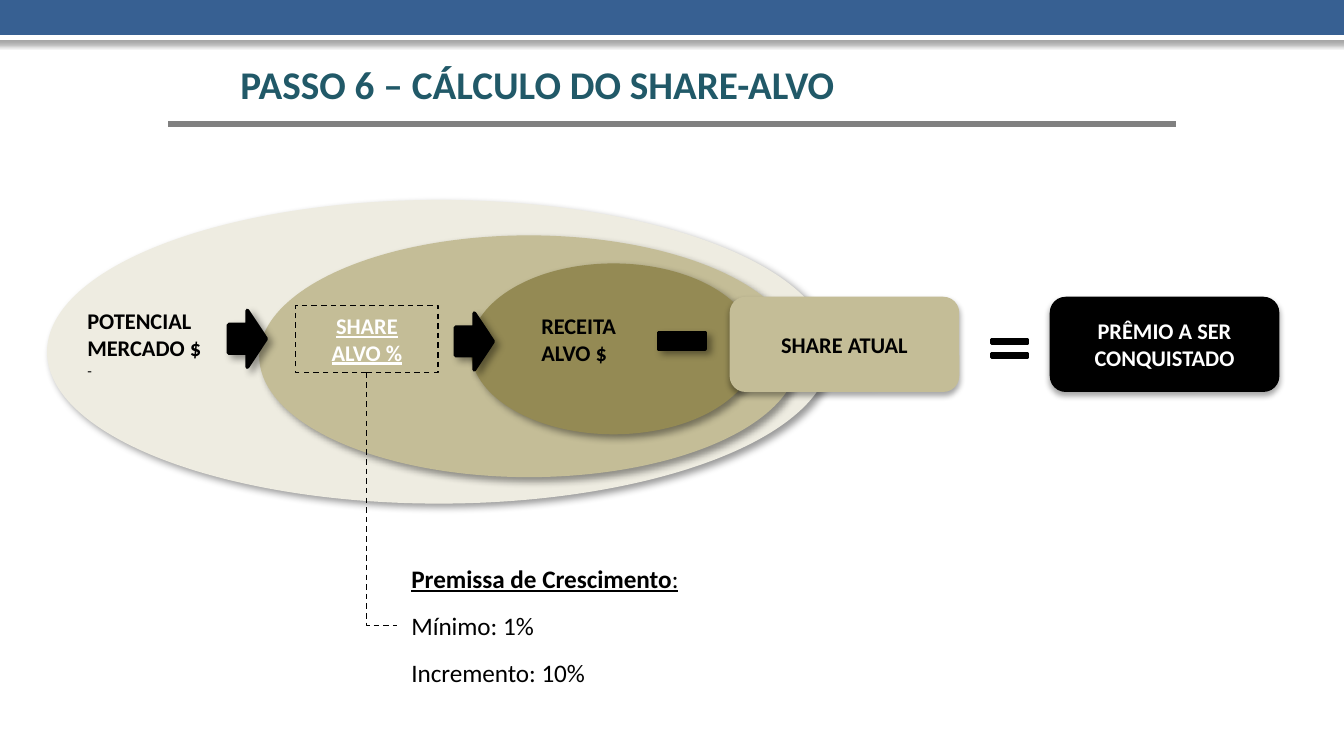
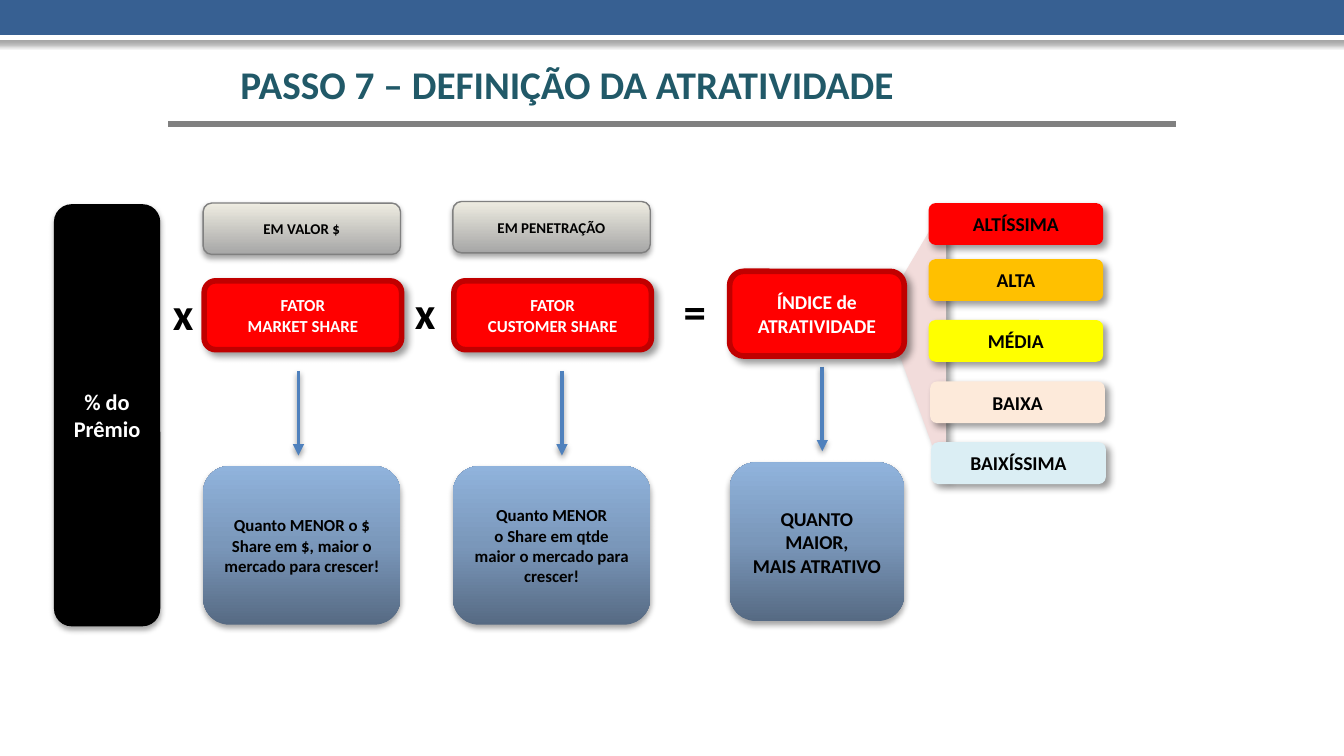
from lxml import etree
from pptx import Presentation
from pptx.dml.color import RGBColor
from pptx.enum.dml import MSO_LINE
from pptx.enum.shapes import MSO_CONNECTOR, MSO_SHAPE
from pptx.enum.text import MSO_ANCHOR, MSO_AUTO_SIZE, PP_ALIGN
from pptx.oxml.ns import qn
from pptx.util import Cm, Pt

RECT, ROUNDED, ELLIPSE = MSO_SHAPE.RECTANGLE, MSO_SHAPE.ROUNDED_RECTANGLE, MSO_SHAPE.OVAL
TRIANGLE, RIGHT_ARROW = MSO_SHAPE.ISOSCELES_TRIANGLE, MSO_SHAPE.RIGHT_ARROW
MINUS, EQUAL = MSO_SHAPE.MATH_MINUS, MSO_SHAPE.MATH_EQUAL
STRAIGHT, ELBOW = MSO_CONNECTOR.STRAIGHT, MSO_CONNECTOR.ELBOW
LEFT, CENTER = PP_ALIGN.LEFT, PP_ALIGN.CENTER
TOP, MIDDLE = MSO_ANCHOR.TOP, MSO_ANCHOR.MIDDLE
DASH = MSO_LINE.DASH
NO_AUTOFIT = MSO_AUTO_SIZE.NONE
TITLE_AND_BODY, TITLE_ONLY = 1, 5

BLACK, WHITE, RED, DARK_RED = "000000", "FFFFFF", "FF0000", "C00000"
BAND_BLUE, TITLE_TEAL, RULE_GREY, ARROW_BLUE = "376092", "215968", "808080", "4F81BD"
CREAM, SAND, OLIVE, PINK = "EEECE1", "C4BD97", "948A54", "F2DCDB"
# Gradients run from bottom to top: (position %, colour)
GREY_GRADIENT = [(0, "A6A6A6"), (100, CREAM)]
BLUE_GRADIENT = [(0, "566A83"), (50, "7A97BA"), (100, "90B3DC")]
# Shadows: opacity %, blur pt, distance pt, direction in degrees
SLANTED = (40, 4, 3, 45)
BELOW = (35, 3.1, 1.8, 90)
ARROW_SHADOW = (38, 3.1, 1.6, 90)

BASE_FONT = {"name": "Calibri", "size": 12, "bold": True, "color": BLACK}


def rgb(hex_color):
    return RGBColor.from_string(hex_color)


def add_node(parent, tag, **attributes):
    return etree.SubElement(parent, qn(tag), {k: str(v) for k, v in attributes.items()})


def add_shadow(effects, shadow):
    opacity, blur, distance, direction = shadow
    outer = add_node(effects, "a:outerShdw", blurRad=Pt(blur), dist=Pt(distance),
                     dir=direction * 60000, algn="ctr", rotWithShape=0)
    color = add_node(outer, "a:srgbClr", val=BLACK)
    add_node(color, "a:alpha", val=opacity * 1000)


def style_line(line, color, width, dash=None):
    line.color.rgb = rgb(color)
    line.width = Pt(width)
    if dash:
        line.dash_style = dash


class Deck:
    def __init__(self):
        self.prs = Presentation()
        self.prs.slide_width, self.prs.slide_height = Cm(25.4), Cm(14.29)
        self.slide = None

    def open_slide(self, title, layout):
        """Start a slide with the blue band, the title and the rule below it."""
        self.slide = self.prs.slides.add_slide(self.prs.slide_layouts[layout])
        self.shape(RECT, (-0.46, -0.36, 26.42, 1.07), BAND_BLUE, (WHITE, 3), BELOW)
        self.placeholder(self.slide.shapes.title, (4.29, 1.02, 17.5, 1.14), [title],
                         size=21, color=TITLE_TEAL)
        self.connector((3.18, 2.34), (22.23, 2.34), (RULE_GREY, 3))

    def fill_text(self, frame, paragraphs, align=LEFT, anchor=TOP, before=0, **fmt):
        """Each paragraph is a string or a list of (text, format) runs."""
        frame.word_wrap = True
        frame.auto_size = NO_AUTOFIT
        frame.vertical_anchor = anchor
        for index, content in enumerate(paragraphs):
            paragraph = frame.paragraphs[0] if index == 0 else frame.add_paragraph()
            paragraph.alignment = align
            paragraph.space_before = Pt(before)
            runs = [(content, {})] if isinstance(content, str) else content
            for text, changes in runs:
                run = paragraph.add_run()
                run.text = text
                values = {**BASE_FONT, **fmt, **changes}
                run.font.color.rgb = rgb(values.pop("color"))
                values["size"] = Pt(values["size"])
                for name, value in values.items():
                    setattr(run.font, name, value)

    def placeholder(self, holder, box, paragraphs, **fmt):
        holder.left, holder.top, holder.width, holder.height = map(Cm, box)
        self.fill_text(holder.text_frame, paragraphs, **fmt)

    def plain_list(self, box, items, **fmt):
        """Fill the body placeholder without bullets or indents."""
        body = self.slide.placeholders[1]
        self.placeholder(body, box, items, **fmt)
        for paragraph in body.text_frame.paragraphs:
            properties = paragraph._p.get_or_add_pPr()
            properties.set("marL", "0")
            properties.set("indent", "0")
            add_node(properties, "a:buNone")

    def text(self, box, paragraphs, **fmt):
        textbox = self.slide.shapes.add_textbox(*map(Cm, box))
        self.fill_text(textbox.text_frame, paragraphs, **fmt)

    def shape(self, kind, box, fill=None, line=None, shadow=None, paragraphs=(),
              adjustments=(), **fmt):
        shape = self.slide.shapes.add_shape(kind, *map(Cm, box))
        properties = shape._element.spPr
        for index, value in enumerate(adjustments):
            shape.adjustments[index] = value
        if fill is None:
            shape.fill.background()
        elif isinstance(fill, str):
            shape.fill.solid()
            shape.fill.fore_color.rgb = rgb(fill)
        else:
            shape.fill.gradient()
            shape.fill.gradient_angle = 90
            stops = properties.find(".//" + qn("a:gsLst"))
            for stop in list(stops):
                stops.remove(stop)
            for position, color in fill:
                stop = add_node(stops, "a:gs", pos=position * 1000)
                add_node(stop, "a:srgbClr", val=color)
        if line:
            style_line(shape.line, *line)
        else:
            shape.line.fill.background()
        shape.shadow.inherit = False
        if shadow:
            add_shadow(properties.find(qn("a:effectLst")), shadow)
        if paragraphs:
            self.fill_text(shape.text_frame, paragraphs,
                           **{"align": CENTER, "anchor": MIDDLE, **fmt})
        return shape

    def connector(self, start, end, line, kind=STRAIGHT, arrow=False, shadow=None):
        connector = self.slide.shapes.add_connector(kind, *map(Cm, start + end))
        style_line(connector.line, *line)
        properties = connector._element.spPr
        if arrow:
            add_node(properties.find(qn("a:ln")), "a:tailEnd", type="triangle")
        effects = add_node(properties, "a:effectLst")
        if shadow:
            add_shadow(effects, shadow)
        return connector

    def corner_connector(self, start, end, line):
        """One-bend connector that goes down, then right, from the turned frame."""
        properties = self.connector(start, end, line, ELBOW)._element.spPr
        properties.find(qn("a:prstGeom")).set("prst", "bentConnector2")
        frame = properties.find(qn("a:xfrm"))
        frame.set("rot", str(270 * 60000))
        frame.set("flipH", "1")


def build_target_share(deck):
    deck.open_slide("PASSO 6 – CÁLCULO DO SHARE-ALVO", TITLE_AND_BODY)

    deck.shape(ELLIPSE, (0.89, 3.78, 14.81, 5.74), CREAM, shadow=SLANTED)
    deck.shape(ELLIPSE, (4.9, 4.45, 10.19, 4.57), SAND, shadow=SLANTED)
    deck.text((1.4, 5.69, 4.39, 1.63),
              ["POTENCIAL MERCADO $", [("-", {"size": 8, "bold": False})]])
    deck.shape(RECT, (5.59, 5.77, 2.69, 1.27), line=(BLACK, 0.75, DASH),
               paragraphs=["SHARE ALVO %"], anchor=TOP, color=WHITE, underline=True)
    deck.shape(ELLIPSE, (8.89, 4.98, 5.41, 3.23), OLIVE, shadow=SLANTED)
    deck.text((9.98, 5.77, 2.13, 1.27), ["RECEITA ALVO $"])
    for left, top in ((4.32, 5.87), (8.61, 5.92)):
        deck.shape(RIGHT_ARROW, (left, top, 0.71, 1.07), BLACK, (BLACK, 2), SLANTED)

    for left, fill, color, label in (
            (13.79, SAND, BLACK, "SHARE ATUAL"),
            (19.84, BLACK, WHITE, "PRÊMIO A SER CONQUISTADO")):
        deck.shape(ROUNDED, (left, 5.61, 4.34, 1.8), fill, shadow=BELOW,
                   paragraphs=[label], color=color)
    deck.shape(MINUS, (12.29, 5.79, 1.19, 1.3), BLACK, (BLACK, 2), SLANTED)
    deck.shape(EQUAL, (18.62, 6.12, 0.91, 0.94), BLACK, (BLACK, 2),
               adjustments=(0.08, 0.2))

    heading = [("Premissa de Crescimento", {"bold": True, "underline": True}),
               (":", {"underline": True})]
    deck.plain_list((7.52, 10.52, 6.32, 2.64),
                    [heading, "Mínimo: 1%", "Incremento: 10%"],
                    size=13.5, bold=False, before=9)
    deck.corner_connector((4.83, 9.14), (9.61, 9.72), (BLACK, 0.75, DASH))


def build_attractiveness(deck):
    deck.open_slide("PASSO 7 – DEFINIÇÃO DA ATRATIVIDADE", TITLE_ONLY)

    fan = deck.shape(TRIANGLE, (14.63, 5.89, 5.31, 1.19), PINK, shadow=SLANTED,
                     adjustments=(0.62,))
    fan.rotation = 270

    for x, top in ((5.64, 7.01), (10.62, 7.01), (15.54, 6.93)):
        deck.connector((x, top), (x, top + 1.6), (ARROW_BLUE, 2), arrow=True,
                       shadow=ARROW_SHADOW)

    factors = (
        (3.84, 3.84, "EM VALOR $", "MARKET SHARE",
         ["Quanto MENOR o $ Share em $, maior o mercado para crescer!"]),
        (8.56, 3.81, "EM PENETRAÇÃO", "CUSTOMER SHARE",
         ["Quanto MENOR", "o Share em qtde maior o mercado para crescer!"]),
    )
    for left, tag_top, measure, factor, reading in factors:
        deck.shape(ROUNDED, (left, tag_top, 3.73, 0.97), GREY_GRADIENT,
                   (RULE_GREY, 0.75), BELOW, [measure], size=8)
        deck.shape(ROUNDED, (left + 0.02, 5.31, 3.73, 1.3), RED, (DARK_RED, 3),
                   SLANTED, ["FATOR", factor], size=9, color=WHITE)
        deck.shape(ROUNDED, (left, 8.81, 3.73, 3), BLUE_GRADIENT, None, BELOW,
                   reading, size=9)

    deck.shape(ROUNDED, (13.79, 5.13, 3.3, 1.6), RED, (DARK_RED, 3), SLANTED,
               ["ÍNDICE de", "ATRATIVIDADE"], size=10.5, color=WHITE)
    deck.shape(ROUNDED, (13.79, 8.74, 3.3, 3), BLUE_GRADIENT, None, BELOW,
               ["QUANTO MAIOR,", "MAIS ATRATIVO"], size=10.5)

    prize = deck.shape(ROUNDED, (1.02, 3.86, 2.01, 7.98), BLACK, None, BELOW,
                       ["% do Prêmio"], color=WHITE)
    prize.text_frame.margin_left = prize.text_frame.margin_right = Cm(0.2)

    for left, top, sign in ((3.02, 5.28, "x"), (7.59, 5.26, "x"), (12.67, 5.23, "=")):
        deck.text((left, top, 1.19, 1.27), [sign], size=24)

    levels = (
        (17.55, 3.84, RED, "ALTÍSSIMA"),
        (17.55, 4.9, "FFC000", "ALTA"),
        (17.55, 6.05, "FFFF00", "MÉDIA"),
        (17.58, 7.21, "FDEADA", "BAIXA"),
        (17.6, 8.36, "DBEEF4", "BAIXÍSSIMA"),
    )
    for left, top, fill, level in levels:
        deck.shape(ROUNDED, (left, top, 3.3, 0.79), fill, None, SLANTED, [level],
                   size=10.5)


def main():
    deck = Deck()
    build_target_share(deck)
    build_attractiveness(deck)
    deck.prs.save("out.pptx")


if __name__ == "__main__":
    main()
